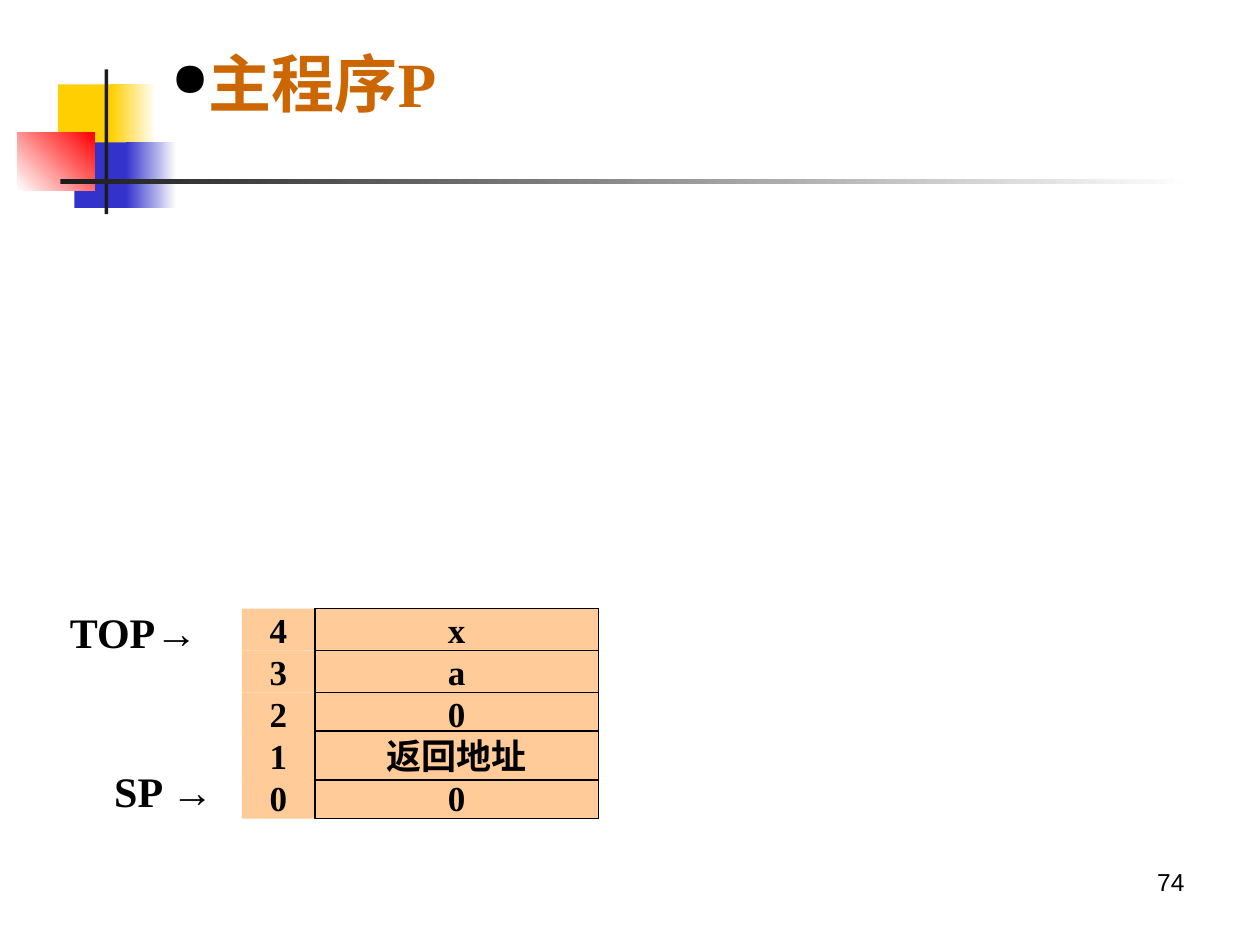
from lxml import etree
from pptx import Presentation
from pptx.dml.color import RGBColor
from pptx.enum import shapes, text
from pptx.oxml import ns
from pptx.util import Inches, Pt

COLORS = {
    "yellow": "FFCF01", "blue": "3333CC", "red": "FF0000", "white": "FFFFFF",
    "charcoal": "1C1C1C", "cell": "FFCC99", "ink": "000000", "title": "CC6600",
}
SERIF, SANS = "Times New Roman", "Arial"


def rgb(name):
    return RGBColor.from_string(COLORS[name])


def add_rect(slide, left, top, width, height, fill, fade_to=None, angle=0, outline=None):
    """Add a rectangle, filled plainly or fading from fill to fade_to."""
    rect = slide.shapes.add_shape(
        shapes.MSO_SHAPE.RECTANGLE, Inches(left), Inches(top), Inches(width), Inches(height))
    rect.shadow.inherit = False
    if fade_to:
        rect.fill.gradient()
        rect.fill.gradient_angle = angle
        for stop, color, position in zip(rect.fill.gradient_stops, (fill, fade_to), (0, 1)):
            stop.color.rgb = rgb(color)
            stop.position = position
    else:
        rect.fill.solid()
        rect.fill.fore_color.rgb = rgb(fill)
    if outline:
        rect.line.color.rgb = rgb(outline)
        rect.line.width = Pt(1)
    else:
        rect.line.fill.background()
    return rect


def write_text(shape, *runs, size=20, color="ink", bold=True, align=text.PP_ALIGN.CENTER,
               anchor=text.MSO_ANCHOR.MIDDLE, wrap=False, margin=0.05):
    """Fill a shape with one paragraph of (words, font) runs."""
    frame = shape.text_frame
    frame.word_wrap = wrap
    frame.auto_size = text.MSO_AUTO_SIZE.NONE
    frame.vertical_anchor = anchor
    frame.margin_left = frame.margin_right = Inches(0.1)
    frame.margin_top = frame.margin_bottom = Inches(margin)
    paragraph = frame.paragraphs[0]
    paragraph.alignment = align
    for words, font in runs:
        run = paragraph.add_run()
        run.text = words
        run.font.name = font
        run.font.size = Pt(size)
        run.font.bold = bold
        run.font.color.rgb = rgb(color)
    return paragraph


def add_label(slide, left, top, width, height, *runs, **text_format):
    label = slide.shapes.add_textbox(Inches(left), Inches(top), Inches(width), Inches(height))
    write_text(label, *runs, **text_format)


def add_ornament(slide, left, top):
    """Draw the coloured squares and the two crossing bars."""
    add_rect(slide, left + 0.32, top + 0.12, 0.48, 0.52, "yellow")
    add_rect(slide, left + 0.74, top + 0.12, 0.36, 0.52, "yellow", "white")
    add_rect(slide, left + 0.45, top + 0.58, 0.46, 0.52, "blue")
    add_rect(slide, left + 0.86, top + 0.58, 0.4, 0.52, "blue", "white")
    add_rect(slide, left, top + 0.5, 0.61, 0.46, "white", "red", angle=45)
    add_rect(slide, left + 0.69, top, 0.03, 1.15, "charcoal")
    add_rect(slide, left + 0.34, top + 0.87, 9, 0.04, "charcoal", "white")


def add_title(slide, left, top, width, height):
    title = slide.shapes.title
    title.left, title.top = Inches(left), Inches(top)
    title.width, title.height = Inches(width), Inches(height)
    paragraph = write_text(title, ("主程序P", SERIF), size=36, color="title",
                           align=text.PP_ALIGN.LEFT, wrap=True)
    properties = paragraph._p.get_or_add_pPr()
    properties.set("marL", "0")
    properties.set("indent", "0")
    bullet_color = etree.SubElement(properties, ns.qn("a:buClr"))
    etree.SubElement(bullet_color, ns.qn("a:srgbClr"), val=COLORS["ink"])
    etree.SubElement(properties, ns.qn("a:buSzPct"), val="75000")
    etree.SubElement(properties, ns.qn("a:buChar"), char="●")


def add_stack_row(slide, left, top, height, address, content):
    for x, width, words, outline in ((left, 0.58, address, None),
                                     (left + 0.58, 2.25, content, "ink")):
        cell = add_rect(slide, x, top, width, height, "cell", outline=outline)
        write_text(cell, (words, SERIF), margin=0)


def add_stack(slide, left, top):
    """Draw the storage stack; the taller return address row overlaps its neighbours."""
    row_height = 1 / 3
    for address, content in ((0, "0"), (2, "0"), (3, "a"), (4, "x")):
        add_stack_row(slide, left, top + (4 - address) * row_height, row_height,
                      str(address), content)
    add_stack_row(slide, left, top + 0.97, 0.39, "1", "返回地址")


def add_pointers(slide, left, top):
    for x, y, name in ((left + 0.24, top + 1.26, "SP "), (left, top, "TOP")):
        add_label(slide, x, y, 1.42, 0.33, (name, SERIF), ("→", SANS), size=24)


def main():
    deck = Presentation()
    deck.slide_width, deck.slide_height = Inches(10), Inches(7.5)
    slide = deck.slides.add_slide(deck.slide_layouts[5])
    add_ornament(slide, 0.14, 0.55)
    add_title(slide, 1.26, 0.23, 8.52, 0.84)
    add_stack(slide, 1.92, 4.83)
    add_pointers(slide, 0.35, 4.85)
    add_label(slide, 7.17, 6.83, 2.33, 0.52, ("74", SANS), size=14, bold=False,
              align=text.PP_ALIGN.RIGHT, anchor=text.MSO_ANCHOR.TOP, wrap=True)
    deck.save("out.pptx")


if __name__ == "__main__":
    main()
